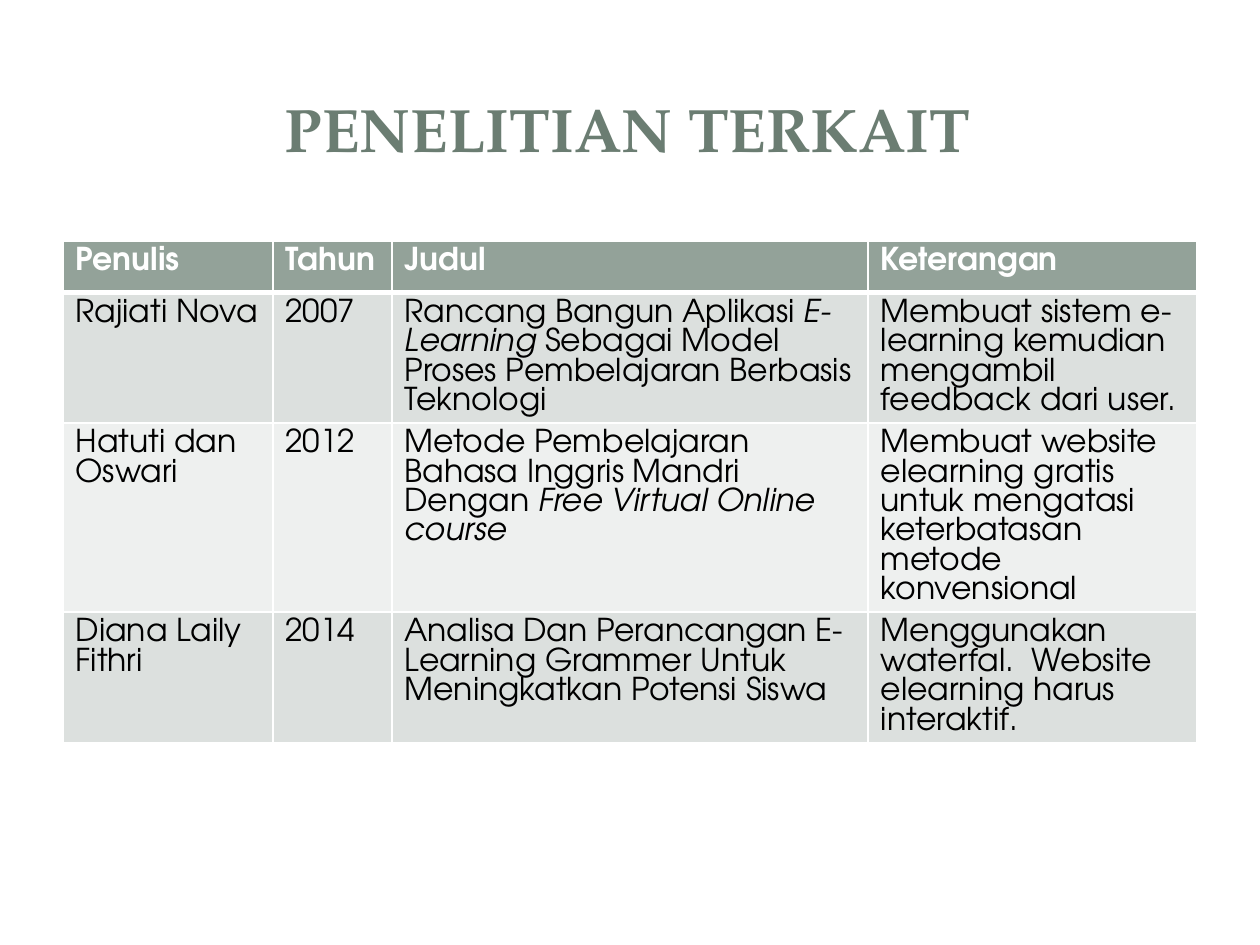
from lxml.etree import SubElement
from pptx import Presentation
from pptx.dml.color import RGBColor
from pptx.enum.shapes import MSO_SHAPE
from pptx.enum.text import MSO_ANCHOR, PP_ALIGN
from pptx.oxml.ns import qn
from pptx.util import Cm, Pt

TITLE_COLOR = RGBColor(0x6B, 0x7D, 0x72)
HEADER_FILL = RGBColor(0x93, 0xA2, 0x99)
BAND_FILLS = (RGBColor(0xDC, 0xE0, 0xDE), RGBColor(0xEE, 0xF0, 0xEF))
WHITE = RGBColor(0xFF, 0xFF, 0xFF)
BLACK = RGBColor(0, 0, 0)
TITLE_FONT = "TeX Gyre Pagella"
BODY_FONT = "TeX Gyre Adventor"

COLUMN_WIDTHS = (4.23, 2.4, 9.6, 6.63)
ROW_HEIGHTS = (1.04, 2.62, 3.81, 2.62)
HEADERS = ("Penulis", "Tahun", "Judul", "Keterangan")
STUDIES = (
    ("Rajiati Nova", "2007",
     ("Rancang Bangun Aplikasi ", "E-Learning ",
      "Sebagai Model Proses Pembelajaran Berbasis Teknologi"),
     "Membuat sistem e-learning kemudian mengambil feedback dari user."),
    ("Hatuti dan Oswari", "2012",
     ("Metode Pembelajaran Bahasa Inggris Mandri Dengan ",
      "Free Virtual Online course"),
     "Membuat website elearning gratis untuk mengatasi keterbatasan "
     "metode konvensional"),
    ("Diana Laily Fithri", "2014",
     "Analisa Dan Perancangan E-Learning Grammer Untuk Meningkatkan "
     "Potensi Siswa",
     "Menggunakan waterfal.  Website elearning harus interaktif."),
)


def add_panel(slide, kind, left, top, width, height):
    panel = slide.shapes.add_shape(kind, left, top, width, height)
    panel.shadow.inherit = False
    panel.fill.solid()
    panel.fill.fore_color.rgb = WHITE
    panel.line.fill.background()
    return panel


def add_frame(slide, left, top, width, height):
    page = add_panel(slide, MSO_SHAPE.ROUNDED_RECTANGLE,
                     left, top, width, height)
    page.adjustments[0] = 0.017
    band = add_panel(slide, MSO_SHAPE.RECTANGLE, left + Cm(0.51),
                     top + Cm(0.48), width - Cm(1.02), Cm(3.68))
    color = band.fill._xPr.find(qn("a:solidFill"))[0]
    SubElement(color, qn("a:alpha"), val="83000")
    add_panel(slide, MSO_SHAPE.RECTANGLE, left + Cm(0.79),
              top + Cm(0.76), width - Cm(1.6), Cm(3.1))


def add_title(slide, left, top, width, height):
    title = slide.shapes.title
    slide.shapes._spTree.append(title._element)
    title.left, title.top, title.width, title.height = left, top, width, height
    text_frame = title.text_frame
    text_frame.text = "PENELITIAN TERKAIT"
    text_frame.vertical_anchor = MSO_ANCHOR.MIDDLE
    paragraph = text_frame.paragraphs[0]
    paragraph.alignment = PP_ALIGN.CENTER
    font = paragraph.runs[0].font
    font.name, font.size, font.bold = TITLE_FONT, Pt(35), True
    font.color.rgb = TITLE_COLOR


def set_borders(cell, top_points, bottom_points):
    properties = cell._tc.get_or_add_tcPr()
    widths = {"lnL": 1, "lnR": 1, "lnT": top_points, "lnB": bottom_points}
    for side, points in widths.items():
        line = SubElement(properties, qn(f"a:{side}"), w=str(Pt(points)))
        fill = SubElement(line, qn("a:solidFill"))
        SubElement(fill, qn("a:srgbClr"), val=str(WHITE))


def fill_cell(cell, content, row_index):
    is_header = row_index == 0
    set_borders(cell, 3 if row_index == 1 else 1, 3 if is_header else 1)
    cell.fill.solid()
    cell.fill.fore_color.rgb = (
        HEADER_FILL if is_header else BAND_FILLS[(row_index - 1) % 2])
    pieces = (content,) if isinstance(content, str) else content
    paragraph = cell.text_frame.paragraphs[0]
    for index, piece in enumerate(pieces):
        run = paragraph.add_run()
        run.text = piece
        font = run.font
        font.name, font.size = BODY_FONT, Pt(18)
        font.bold, font.italic = is_header, index % 2 == 1
        font.color.rgb = WHITE if is_header else BLACK


def add_studies_table(slide, left, top, width, height):
    rows = (HEADERS, *STUDIES)
    table = slide.shapes.add_table(
        len(rows), len(HEADERS), left, top, width, height).table
    for column, column_width in zip(table.columns, COLUMN_WIDTHS):
        column.width = Cm(column_width)
    for row_index, contents in enumerate(rows):
        row = table.rows[row_index]
        row.height = Cm(ROW_HEIGHTS[row_index])
        for cell, content in zip(row.cells, contents):
            fill_cell(cell, content, row_index)


def main():
    presentation = Presentation()
    presentation.slide_width, presentation.slide_height = Cm(25.4), Cm(19.05)
    slide = presentation.slides.add_slide(presentation.slide_layouts[5])
    slide.background.fill.solid()
    slide.background.fill.fore_color.rgb = WHITE
    add_frame(slide, Cm(0.25), Cm(0.28), Cm(24.89), Cm(18.52))
    add_title(slide, Cm(1.19), Cm(1.14), Cm(22.94), Cm(2.9))
    add_studies_table(slide, Cm(1.27), Cm(4.86),
                      Cm(sum(COLUMN_WIDTHS)), Cm(sum(ROW_HEIGHTS)))
    presentation.save("out.pptx")


if __name__ == "__main__":
    main()
